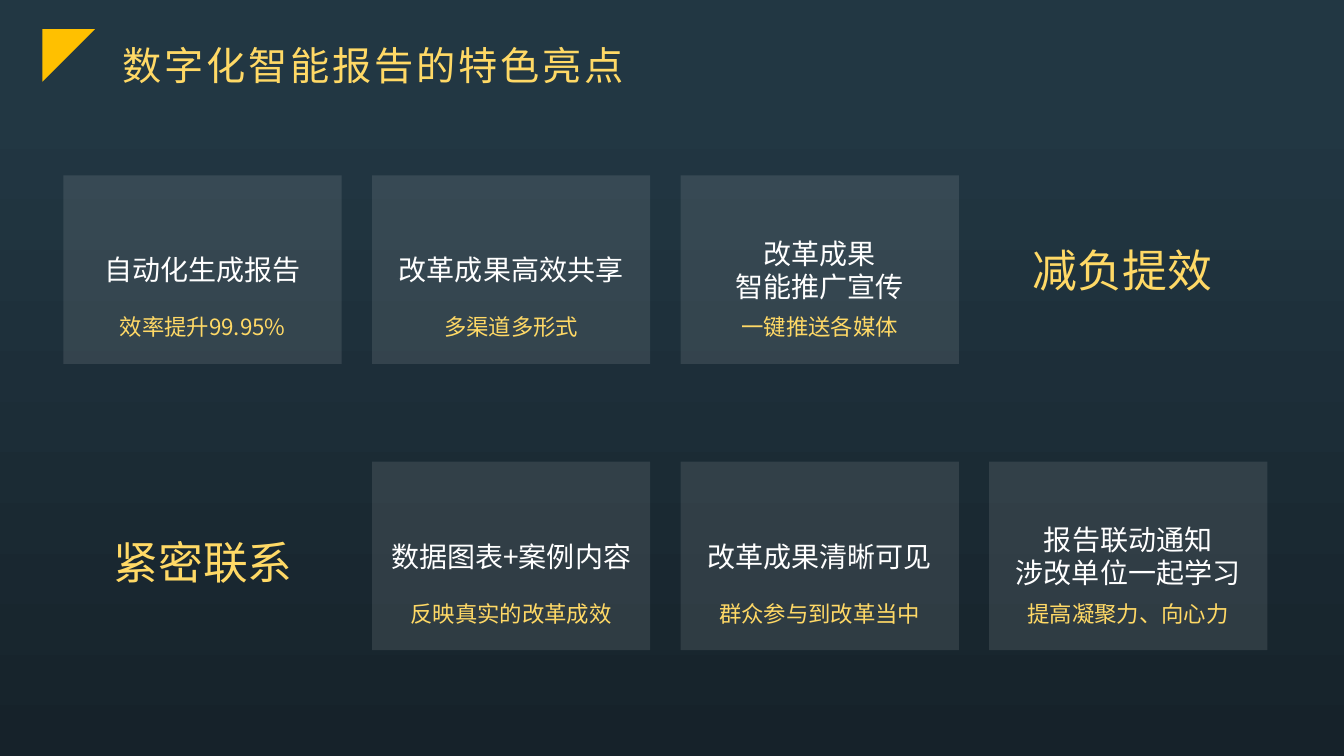
from lxml import etree
from pptx import Presentation
from pptx.dml.color import RGBColor
from pptx.enum.shapes import MSO_SHAPE as SHAPE
from pptx.enum.text import MSO_ANCHOR as ANCHOR, PP_ALIGN as ALIGN
from pptx.oxml.ns import qn
from pptx.util import Inches, Pt

FONT = "Noto Sans CJK SC"
COLORS = {
    "bottom": "16222A",
    "top": "223743",
    "gold": "FFD966",
    "amber": "FFC000",
    "white": "FFFFFF",
}

# Card grid: four columns, two rows
LEFT, COL_STEP = 0.63, 3.06
ROW_TOPS = (1.74, 4.58)
CARD_W, CARD_H = 2.76, 1.87
CAPTION_DY, CAPTION_H = 1.32, 0.37

# Row, column, heading, caption
CARDS = [
    (0, 0, "自动化生成报告", "效率提升99.95%"),
    (0, 1, "改革成果高效共享", "多渠道多形式"),
    (0, 2, "改革成果\n智能推广宣传", "一键推送各媒体"),
    (1, 1, "数据图表+案例内容", "反映真实的改革成效"),
    (1, 2, "改革成果清晰可见", "群众参与到改革当中"),
    (1, 3, "报告联动通知\n涉改单位一起学习", "提高凝聚力、向心力"),
]


def rgb(name):
    return RGBColor.from_string(COLORS[name])


def set_text(sp, text, size, color, align=ALIGN.CENTER, spacing=0):
    tf = sp.text_frame
    tf.word_wrap = True
    tf.text = text
    for p in tf.paragraphs:
        p.alignment = align
        for r in p.runs:
            r.font.size = Pt(size)
            r.font.color.rgb = rgb(color)
            r.font.name = FONT
            rPr = r.font._element
            etree.SubElement(rPr, qn("a:ea"), typeface=FONT)
            if spacing:
                rPr.set("spc", str(spacing * 100))
    return tf


def add_text(s, x, y, w, h, text, size, **style):
    sp = s.shapes.add_textbox(Inches(x), Inches(y), Inches(w), Inches(h))
    return set_text(sp, text, size, "gold", **style)


def add_block(s, shape, x, y, w, h, color):
    sp = s.shapes.add_shape(shape, Inches(x), Inches(y), Inches(w), Inches(h))
    sp.shadow.inherit = False
    sp.fill.solid()
    sp.fill.fore_color.rgb = rgb(color)
    sp.line.fill.background()
    return sp


def set_opacity(sp, percent):
    clr = sp.fill._xPr.find(qn("a:solidFill")).find(qn("a:srgbClr"))
    etree.SubElement(clr, qn("a:alpha"), val=str(percent * 1000))


def add_card(s, row, col, heading, caption):
    x, y = LEFT + col * COL_STEP, ROW_TOPS[row]
    sp = add_block(s, SHAPE.RECTANGLE, x, y, CARD_W, CARD_H, "white")
    set_opacity(sp, 10)
    set_text(sp, heading, 20, "white").vertical_anchor = ANCHOR.MIDDLE
    add_text(s, x, y + CAPTION_DY, CARD_W, CAPTION_H, caption, 16)


def set_background(s):
    fill = s.background.fill
    fill.gradient()
    fill.gradient_angle = 90
    for stop, color, position in zip(fill.gradient_stops, ("bottom", "top"), (0, 0.87)):
        stop.color.rgb = rgb(color)
        stop.position = position


def main():
    prs = Presentation()
    prs.slide_width, prs.slide_height = Inches(13.33), Inches(7.5)
    s = prs.slides.add_slide(prs.slide_layouts[6])
    set_background(s)

    # Title with corner mark
    tf = add_text(s, 1.11, 0.29, 11.52, 0.71, "数字化智能报告的特色亮点", 28,
                  align=ALIGN.LEFT, spacing=2)
    tf.vertical_anchor = ANCHOR.MIDDLE
    tf.margin_left = Inches(0.11)
    mark = add_block(s, SHAPE.RIGHT_TRIANGLE, 0.42, 0.29, 0.52, 0.52, "amber")
    mark.rotation = 90

    # Cards
    for card in CARDS:
        add_card(s, *card)

    # Row themes
    add_text(s, 9.8, 2.36, 2.67, 0.64, "减负提效", 32)
    add_text(s, 0.68, 5.26, 2.67, 0.64, "紧密联系", 32)

    prs.save("out.pptx")


if __name__ == "__main__":
    main()
